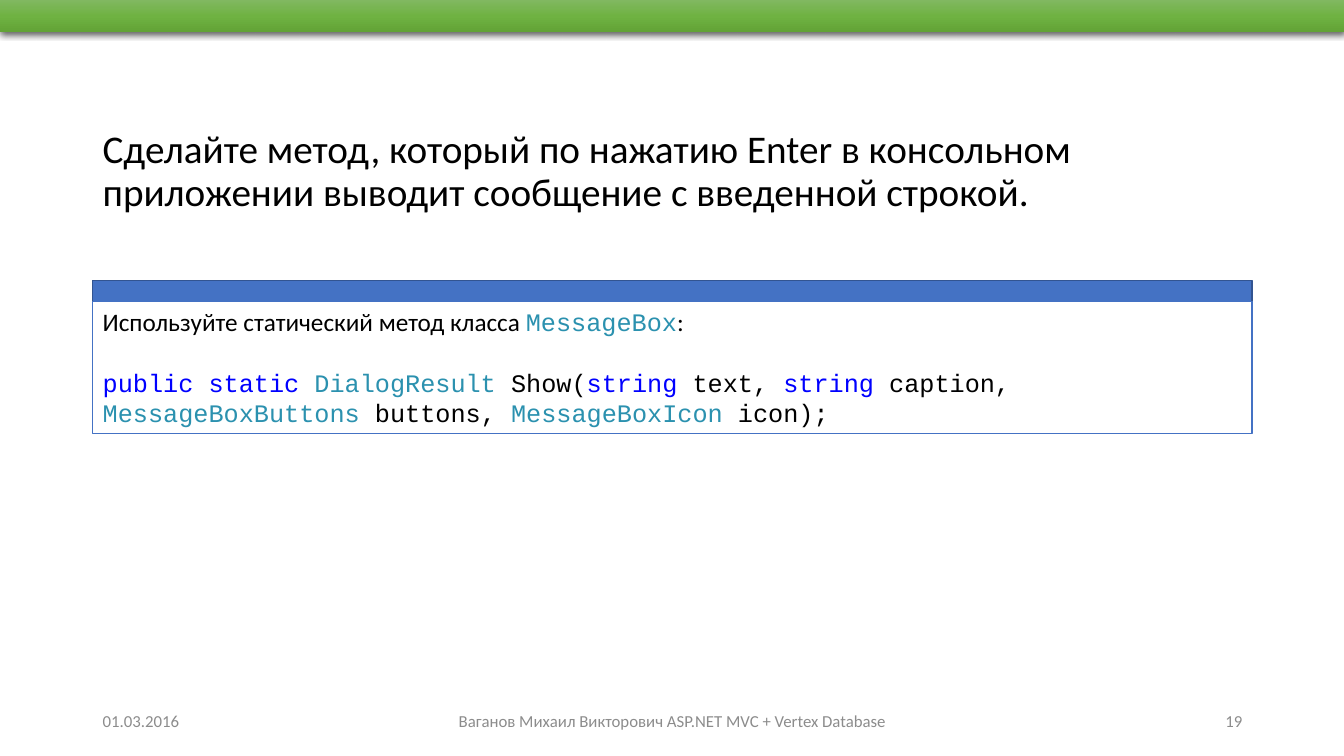
from pptx import Presentation
from pptx.dml.color import RGBColor
from pptx.enum.shapes import MSO_SHAPE
from pptx.enum.text import MSO_ANCHOR, PP_ALIGN
from pptx.oxml import parse_xml
from pptx.oxml.ns import nsdecls
from pptx.util import Inches, Pt

WIDTH, HEIGHT = 13.33, 7.5
MARGIN, CONTENT_WIDTH = 0.92, 11.5
BLACK, WHITE, GRAY = "000000", "FFFFFF", "8C8C8C"
BLUE, DARK_BLUE = "4472C4", "325491"
KEYWORD, TYPE = "0000FF", "2B91AF"
BODY_FONT, CODE_FONT = "Calibri", "Courier New"


def color(value):
    return RGBColor.from_string(value)


def write(para, text, size=18, font=BODY_FONT, fill=BLACK):
    span = para.add_run()
    span.text = text
    span.font.size = Pt(size)
    span.font.name = font
    span.font.color.rgb = color(fill)


def add_text_box(page, box, anchor=MSO_ANCHOR.TOP):
    frame = page.shapes.add_textbox(*map(Inches, box)).text_frame
    frame.word_wrap = True
    frame.vertical_anchor = anchor
    return frame


def add_rectangle(page, box, fill=None, line=None):
    shape = page.shapes.add_shape(MSO_SHAPE.RECTANGLE, *map(Inches, box))
    shape.shadow.inherit = False
    if fill:
        shape.fill.solid()
        shape.fill.fore_color.rgb = color(fill)
    if line:
        shape.line.color.rgb = color(line)
        shape.line.width = Pt(1)
    else:
        shape.line.fill.background()
    return shape


def add_top_band(page, box):
    band = add_rectangle(page, box)
    band.fill.gradient()
    band.fill.gradient_angle = 270
    properties = band._element.spPr

    # Three-stop gradient
    stops = properties.xpath(".//a:gsLst")[0]
    for stop in list(stops):
        stops.remove(stop)
    for percent, tint in ((0, "81B861"), (50, "6FB242"), (100, "62A336")):
        stops.append(parse_xml(
            f'<a:gs {nsdecls("a")} pos="{percent * 1000}">'
            f'<a:srgbClr val="{tint}"/></a:gs>'))

    # Shadow below the band
    properties.xpath("./a:effectLst")[0].append(parse_xml(
        f'<a:outerShdw {nsdecls("a")} blurRad="{Pt(4.5)}" dist="{Pt(1.5)}" '
        f'dir="5400000" algn="ctr" rotWithShape="0"><a:srgbClr val="{BLACK}">'
        '<a:alpha val="63000"/></a:srgbClr></a:outerShdw>'))


def add_task(page, box):
    para = add_text_box(page, box).paragraphs[0]
    para.line_spacing = 0.9
    para.space_before = Pt(10)
    write(para, "Сделайте метод, который по нажатию Enter в консольном "
                "приложении выводит сообщение с введенной строкой.", size=28)


def add_code_panel(page, box, header_height=0.21):
    left, top, width, height = box
    add_rectangle(page, (left, top, width, header_height), BLUE, DARK_BLUE)
    body = add_rectangle(
        page, (left, top + header_height, width, height - header_height),
        WHITE, BLUE)
    frame = body.text_frame
    frame.word_wrap = True
    frame.vertical_anchor = MSO_ANCHOR.TOP

    # Hint
    hint = frame.paragraphs[0]
    hint.alignment = PP_ALIGN.LEFT
    write(hint, "Используйте статический метод класса ")
    write(hint, "MessageBox", font=CODE_FONT, fill=TYPE)
    write(hint, ":")

    # Method signature
    signature = frame.add_paragraph()
    signature.alignment = PP_ALIGN.LEFT
    signature.space_before = Pt(22)
    for text, fill in (
            ("public", KEYWORD), (" ", BLACK), ("static", KEYWORD),
            (" ", BLACK), ("DialogResult", TYPE), (" Show(", BLACK),
            ("string", KEYWORD), (" text, ", BLACK),
            ("string", KEYWORD), (" caption, ", BLACK),
            ("MessageBoxButtons", TYPE), (" buttons, ", BLACK),
            ("MessageBoxIcon", TYPE), (" icon);", BLACK)):
        write(signature, text, font=CODE_FONT, fill=fill)


def add_footer(page, box, side_width=3, middle_width=4.5):
    left, top, width, height = box
    for text, part_width, offset, alignment in (
            ("01.03.2016", side_width, 0, PP_ALIGN.LEFT),
            ("Ваганов Михаил Викторович ASP.NET MVC + Vertex Database",
             middle_width, (width - middle_width) / 2, PP_ALIGN.CENTER),
            ("19", side_width, width - side_width, PP_ALIGN.RIGHT)):
        frame = add_text_box(page, (left + offset, top, part_width, height),
                             anchor=MSO_ANCHOR.MIDDLE)
        para = frame.paragraphs[0]
        para.alignment = alignment
        write(para, text, size=12, fill=GRAY)


def main():
    deck = Presentation()
    deck.slide_width, deck.slide_height = Inches(WIDTH), Inches(HEIGHT)
    page = deck.slides.add_slide(deck.slide_layouts[6])
    add_footer(page, (MARGIN, 6.95, CONTENT_WIDTH, 0.4))
    add_top_band(page, (0, 0, WIDTH, 0.32))
    add_task(page, (MARGIN, 1.24, CONTENT_WIDTH, 1.11))
    add_code_panel(page, (MARGIN, 2.78, CONTENT_WIDTH, 1.52))
    deck.save("out.pptx")


if __name__ == "__main__":
    main()
